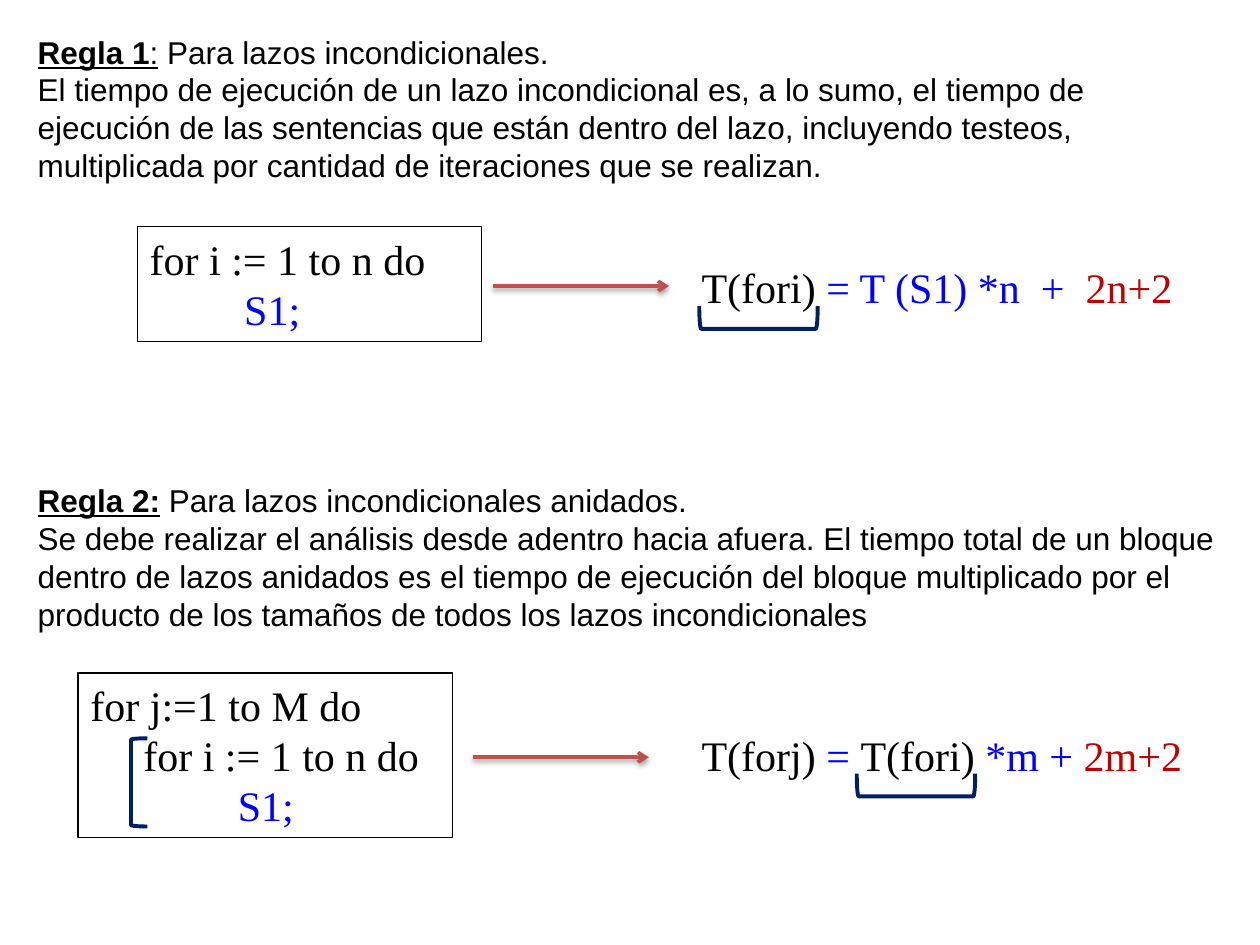
import dataclasses
import pptx
import pptx.dml.color
import pptx.enum.shapes
import pptx.enum.text
import pptx.oxml
import pptx.oxml.ns
import pptx.util

SHAPES = pptx.enum.shapes.MSO_SHAPE
UNIT = 0.1  # inches per grid column and row: 100 columns by 75 rows


@dataclasses.dataclass(frozen=True)
class Theme:
    prose_font: str = "Arial"
    code_font: str = "Times New Roman"
    prose_size: int = 18
    code_size: int = 24
    ink: str = "000000"
    term: str = "0000FF"
    overhead: str = "C00000"
    arrow: str = "C0504D"
    bracket: str = "002060"


THEME = Theme()


@dataclasses.dataclass(frozen=True)
class Box:
    """Area measured in grid columns and rows."""
    left: float
    top: float
    width: float
    height: float

    def inner(self, left, top, width, height):
        return Box(self.left + left, self.top + top, width, height)

    def lengths(self):
        return [grid(v) for v in (self.left, self.top, self.width, self.height)]


def grid(steps):
    return pptx.util.Inches(steps * UNIT)


def rgb(value):
    return pptx.dml.color.RGBColor.from_string(value)


def add_run(paragraph, text, font=THEME.code_font, size=THEME.code_size,
            color=THEME.ink, bold=False, underline=False):
    run = paragraph.add_run()
    run.text = text
    run.font.name = font
    run.font.size = pptx.util.Pt(size)
    run.font.color.rgb = rgb(color)
    run.font.bold = bold
    run.font.underline = underline


def write_lines(shape, lines, indents=None, **text_format):
    """Each line is a list of (text, format) runs; indents are in columns."""
    frame = shape.text_frame
    frame.word_wrap = True
    frame.vertical_anchor = pptx.enum.text.MSO_ANCHOR.TOP
    for index, line in enumerate(lines):
        paragraph = frame.paragraphs[0] if index == 0 else frame.add_paragraph()
        paragraph.alignment = pptx.enum.text.PP_ALIGN.LEFT
        if indents and indents[index]:
            paragraph._p.get_or_add_pPr().set("marL", str(grid(indents[index])))
        for text, run_format in line:
            add_run(paragraph, text, **{**text_format, **run_format})


def add_statement(slide, box, heading, statement):
    write_lines(slide.shapes.add_textbox(*box.lengths()),
                [heading, [(statement, {})]],
                font=THEME.prose_font, size=THEME.prose_size)


def add_code(slide, box, lines, indents):
    code = slide.shapes.add_shape(SHAPES.RECTANGLE, *box.lengths())
    code.shadow.inherit = False
    code.fill.background()
    code.line.color.rgb = rgb(THEME.ink)
    code.line.width = pptx.util.Pt(0.75)
    write_lines(code, lines, indents)


def add_formula(slide, box, terms):
    write_lines(slide.shapes.add_textbox(*box.lengths()), [terms])


def add_bracket(slide, box, opens_up=False):
    if opens_up:  # the frame is turned a quarter about its centre
        shift = (box.width - box.height) / 2
        box = box.inner(shift, -shift, box.height, box.width)
    bracket = slide.shapes.add_shape(SHAPES.LEFT_BRACKET, *box.lengths())
    bracket.rotation = 270 if opens_up else 0
    bracket.shadow.inherit = False
    bracket.fill.background()
    bracket.line.color.rgb = rgb(THEME.bracket)
    bracket.line.width = pptx.util.Pt(2.25)


def add_arrow(slide, box):
    left, top, width, _ = box.lengths()
    arrow = slide.shapes.add_connector(
        pptx.enum.shapes.MSO_CONNECTOR.STRAIGHT, left, top, left + width, top)
    arrow.line.color.rgb = rgb(THEME.arrow)
    arrow.line.width = pptx.util.Pt(2)
    namespace = pptx.oxml.ns.nsdecls("a")
    arrow.line._get_or_add_ln().append(
        pptx.oxml.parse_xml(f'<a:tailEnd {namespace} type="arrow"/>'))
    arrow._element.spPr.append(pptx.oxml.parse_xml(
        f'<a:effectLst {namespace}><a:outerShdw blurRad="{pptx.util.Pt(3.1)}" '
        f'dist="{pptx.util.Pt(1.6)}" dir="5400000" rotWithShape="0">'
        f'<a:srgbClr val="{THEME.ink}"><a:alpha val="38000"/></a:srgbClr>'
        '</a:outerShdw></a:effectLst>'))


def add_rule(slide, region, heading, statement, code, indents, code_box,
             arrow_start, terms, formula_top, bracket_left):
    """Statement on top; code, arrow and bracketed formula below it."""
    add_statement(slide, region.inner(0, 0, region.width, 13.1), heading, statement)
    add_code(slide, region.inner(*code_box), code, indents)
    add_arrow(slide, region.inner(*arrow_start, 14, 0))
    formula = region.inner(52.7, formula_top, 41.4, 5.1)
    add_formula(slide, formula, terms)
    add_bracket(slide, formula.inner(bracket_left, 4, 9.4, 1.8), opens_up=True)


def main():
    deck = pptx.Presentation()
    deck.slide_width, deck.slide_height = grid(100), grid(75)
    slide = deck.slides.add_slide(deck.slide_layouts[6])

    strong = {"bold": True, "underline": True}
    term, overhead = {"color": THEME.term}, {"color": THEME.overhead}
    inner_loop = [[("for i := 1 to n do", {})], [("S1;", term)]]

    # Rule 1: a single loop
    add_rule(
        slide, Box(2, 2.1, 96.1, 30),
        heading=[("Regla 1", strong), (":", {"underline": True}),
                 (" Para lazos incondicionales.", {})],
        statement="El tiempo de ejecución de un lazo incondicional es, a lo sumo, "
                  "el tiempo de ejecución de las sentencias que están dentro del "
                  "lazo, incluyendo testeos, multiplicada por cantidad de "
                  "iteraciones que se realizan.",
        code=inner_loop, indents=[0, 7.5], code_box=(8.9, 15.9, 27.3, 9.1),
        arrow_start=(37.1, 20.6),
        terms=[("T(fori)", {}), (" = T (S1) *n  +  ", term), ("2n+2", overhead)],
        formula_top=18.2, bracket_left=0.8)

    # Rule 2: nested loops
    nested = Box(2, 37.7, 96.1, 30)
    nested_code = (4.2, 15.7, 29.7, 13.1)
    add_rule(
        slide, nested,
        heading=[("Regla 2:", strong),
                 (" Para lazos incondicionales anidados.", {})],
        statement="Se debe realizar el análisis desde adentro hacia afuera. El "
                  "tiempo total de un bloque dentro de lazos anidados es el tiempo "
                  "de ejecución del bloque multiplicado por el producto de los "
                  "tamaños de todos los lazos incondicionales",
        code=[[("for j:=1 to M do", {})]] + inner_loop,
        indents=[0, 4.2, 11.7], code_box=nested_code,
        arrow_start=(35.5, 22.4),
        terms=[("T(forj)", {}), (" = ", term), ("T(fori) ", {}),
               ("*m + ", term), ("2m+2", overhead)],
        formula_top=19.7, bracket_left=13.3)

    # Bracket around the inner loop
    add_bracket(slide, nested.inner(*nested_code).inner(4.2, 5.2, 1.3, 7))

    deck.save("out.pptx")


if __name__ == "__main__":
    main()
